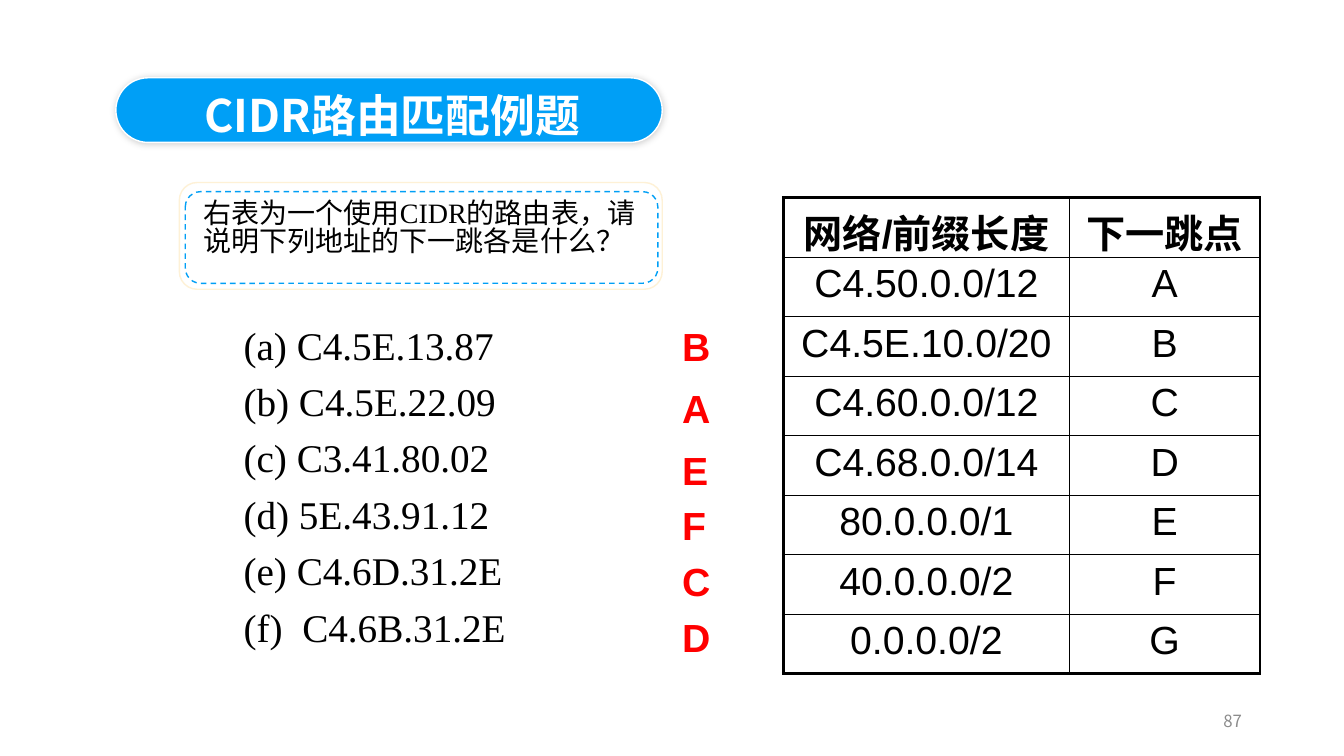
from lxml import etree
from pptx import Presentation
from pptx.dml.color import RGBColor
from pptx.enum.dml import MSO_LINE
from pptx.enum.shapes import MSO_SHAPE
from pptx.enum.text import MSO_ANCHOR, PP_ALIGN
from pptx.oxml import parse_xml
from pptx.oxml.ns import nsdecls, qn
from pptx.util import Cm, Pt

ROUND = MSO_SHAPE.ROUNDED_RECTANGLE
DASH = MSO_LINE.DASH
TOP, MIDDLE = MSO_ANCHOR.TOP, MSO_ANCHOR.MIDDLE
LEFT, CENTER, RIGHT = PP_ALIGN.LEFT, PP_ALIGN.CENTER, PP_ALIGN.RIGHT

SANS, SERIF = "Arial", "Times New Roman"
HAN, HEAD = "Noto Sans CJK SC", "Noto Sans CJK JP"
BLACK, WHITE, RED, BLUE = "000000", "FFFFFF", "FF0000", "009FF6"

HOSTS = [
    "(a) C4.5E.13.87",
    "(b) C4.5E.22.09",
    "(c) C3.41.80.02",
    "(d) 5E.43.91.12",
    "(e) C4.6D.31.2E",
    "(f)  C4.6B.31.2E",
]
HOPS = [("B", 7.82), ("A", 9.37), ("E", 10.95),
        ("F", 12.34), ("C", 13.74), ("D", 15.16)]
ROUTES = [
    ("网络/前缀长度", "下一跳点"),
    ("C4.50.0.0/12", "A"),
    ("C4.5E.10.0/20", "B"),
    ("C4.60.0.0/12", "C"),
    ("C4.68.0.0/14", "D"),
    ("80.0.0.0/1", "E"),
    ("40.0.0.0/2", "F"),
    ("0.0.0.0/2", "G"),
]


def color(code):
    return RGBColor.from_string(code)


def write(frame, text, size=28, font=SANS, han=HAN, ink=BLACK, bold=False,
          align=LEFT, anchor=TOP, lead=None, gap=0, wrap=True):
    """Fill a text frame, one paragraph for each line of text."""
    frame.word_wrap = wrap
    frame.vertical_anchor = anchor
    for i, line in enumerate(text.split("\n")):
        para = frame.add_paragraph() if i else frame.paragraphs[0]
        para.alignment = align
        para.space_before = Pt(gap if i else 0)
        if lead:
            para.line_spacing = lead
        run = para.add_run()
        run.text = line
        run.font.size = Pt(size)
        run.font.bold = bold
        run.font.color.rgb = color(ink)
        run.font.name = font
        east = etree.SubElement(run._r.get_or_add_rPr(), qn("a:ea"))
        east.set("typeface", han)


def label(slide, box, text, **style):
    shape = slide.shapes.add_textbox(*map(Cm, box))
    write(shape.text_frame, text, **style)


def panel(slide, box, line, fill=None, dash=None, bend=0.1667):
    shape = slide.shapes.add_shape(ROUND, *map(Cm, box))
    shape.adjustments[0] = bend
    shape.shadow.inherit = False
    if fill:
        shape.fill.solid()
        shape.fill.fore_color.rgb = color(fill)
    else:
        shape.fill.background()
    shape.line.color.rgb = color(line)
    shape.line.width = Pt(1)
    if dash:
        shape.line.dash_style = dash
    return shape


def glow(shape):
    """Give the shape a soft, centred shadow."""
    effect = shape._element.spPr.find(qn("a:effectLst"))
    effect.append(parse_xml(
        f'<a:outerShdw {nsdecls("a")} blurRad="{Pt(5)}" dist="0" dir="0">'
        f'<a:srgbClr val="{BLACK}"><a:alpha val="20000"/></a:srgbClr>'
        '</a:outerShdw>'))


def border(cell, widths):
    props = cell._tc.get_or_add_tcPr()
    for side, width in zip("LRTB", widths):
        props.append(parse_xml(
            f'<a:ln{side} {nsdecls("a")} w="{Pt(width)}"><a:solidFill>'
            f'<a:srgbClr val="{BLACK}"/></a:solidFill></a:ln{side}>'))


def grid(slide, rows, left, top, widths, height):
    """Draw a table with a thick frame and thin inner lines."""
    last, end = len(rows) - 1, len(widths) - 1
    table = slide.shapes.add_table(
        len(rows), len(widths), Cm(left), Cm(top),
        Cm(sum(widths)), Cm(height * len(rows))).table
    table.horz_banding = False
    for col, width in zip(table.columns, widths):
        col.width = Cm(width)
    for r, row in enumerate(rows):
        table.rows[r].height = Cm(height)
        for c, text in enumerate(row):
            cell = table.cell(r, c)
            edges = (c == 0, c == end, r == 0, r == last)
            border(cell, [2.25 if edge else 1 for edge in edges])
            cell.fill.background()
            write(cell.text_frame, text, bold=r == 0, align=CENTER)


def heading(slide, text):
    title = slide.shapes.title
    title.left, title.top, title.width, title.height = map(
        Cm, (4.9, 2.08, 13.28, 1.63))
    write(title.text_frame, text, size=32, font=HEAD, han=HEAD,
          ink=WHITE, bold=True)
    pill = panel(slide, (2.92, 1.96, 13.77, 1.63), WHITE, BLUE, bend=0.5)
    glow(pill)
    title._element.addprevious(pill._element)


def main():
    deck = Presentation()
    deck.slide_width, deck.slide_height = Cm(33.87), Cm(19.05)
    slide = deck.slides.add_slide(deck.slide_layouts[5])

    heading(slide, "CIDR路由匹配例题")
    panel(slide, (4.52, 4.6, 12.17, 2.69), "FEF1D6", WHITE)
    panel(slide, (4.67, 4.83, 11.91, 2.31), BLUE, dash=DASH)
    label(slide, (4.88, 4.93, 11.71, 3.1),
          "右表为一个使用CIDR的路由表，请说明下列地址的下一跳各是什么？",
          size=20, font=SERIF, lead=0.84)

    label(slide, (5.89, 8.1, 10.5, 10.95), "\n".join(HOSTS),
          font=SERIF, lead=0.9, gap=10)
    for hop, top in HOPS:
        label(slide, (16.94, top, 1.24, 1.52), hop,
              ink=RED, bold=True, lead=1.15, wrap=False)

    grid(slide, ROUTES, 19.74, 4.98, (7.21, 4.8), 1.5)
    label(slide, (23.93, 17.65, 7.62, 1.02), "87", size=12, font=HAN,
          ink="8C8C8C", align=RIGHT, anchor=MIDDLE)
    deck.save("out.pptx")


if __name__ == "__main__":
    main()
